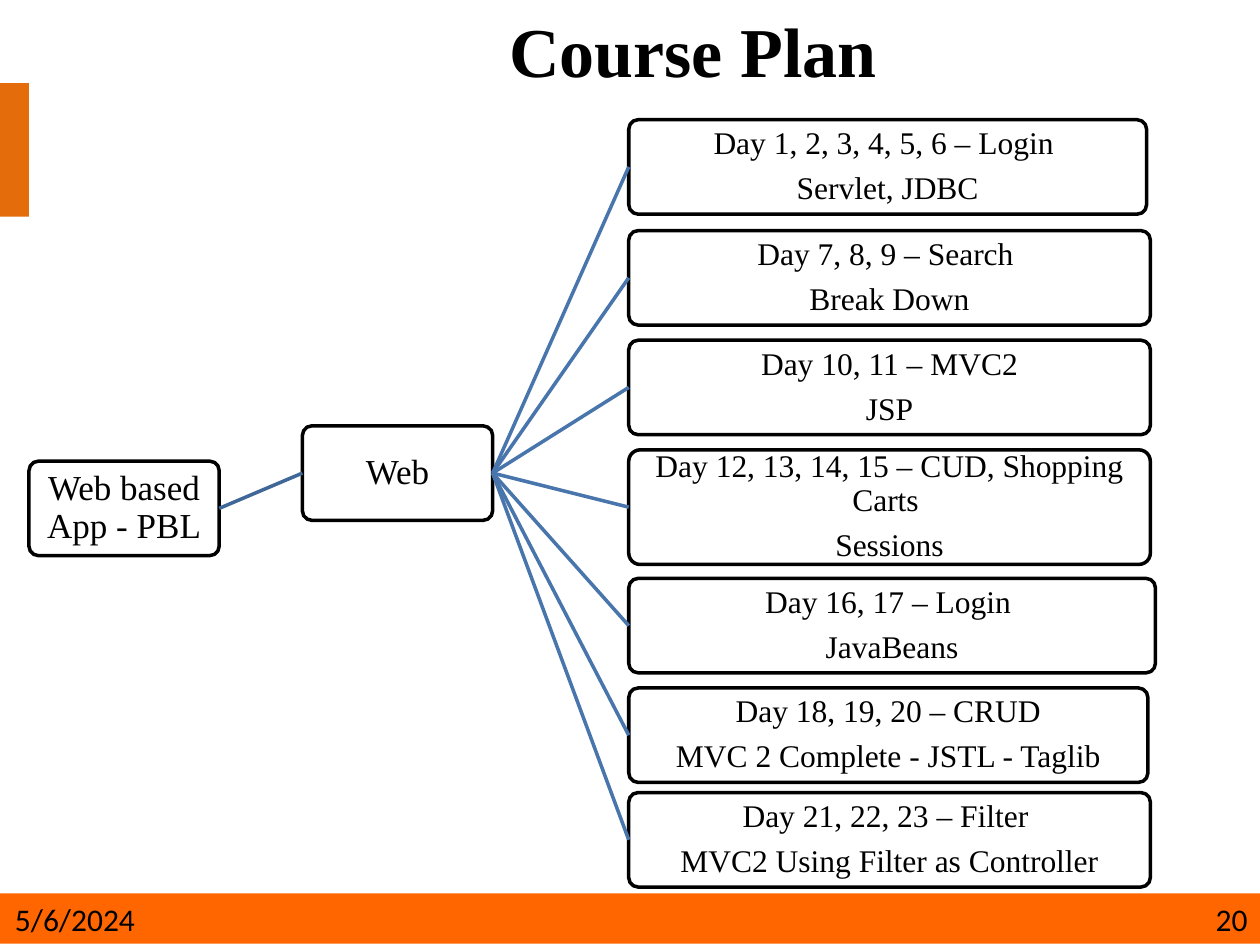
from pptx import Presentation
from pptx.dml.color import RGBColor
from pptx.enum.shapes import MSO_CONNECTOR as Link, MSO_SHAPE as Preset
from pptx.enum.text import MSO_ANCHOR as Anchor, PP_ALIGN as Align
from pptx.oxml.ns import qn
from pptx.util import Inches, Pt
from lxml.etree import SubElement

COLUMNS, ROWS = 1000, 750
SLIDE_WIDTH, SLIDE_HEIGHT = Inches(10), Inches(7.5)
COLORS = {"footer": "FF6600", "accent": "E46C0A", "ink": "000000",
          "paper": "FFFFFF", "trunk": "3F6797", "branch": "4875AC"}
SERIF, SANS = "Times New Roman", "Calibri"
NODE_WIDTH, NODE_HEIGHT, DAY_LEFT = 151, 75, 499
DAYS = [
    (95, 411, NODE_HEIGHT, ["Day 1, 2, 3, 4, 5, 6 – Login ", "Servlet, JDBC"]),
    (183, 414, NODE_HEIGHT, ["Day 7, 8, 9 – Search ", "Break Down"]),
    (270, 414, NODE_HEIGHT, ["Day 10, 11 – MVC2", "JSP"]),
    (357, 414, 91, ["Day 12, 13, 14, 15 – CUD, Shopping Carts ", "Sessions"]),
    (459, 418, NODE_HEIGHT, ["Day 16, 17 – Login ", "JavaBeans"]),
    (546, 412, NODE_HEIGHT, ["Day 18, 19, 20 – CRUD", "MVC 2 Complete - JSTL - Taglib"]),
    (629, 414, NODE_HEIGHT, ["Day 21, 22, 23 – Filter ", "MVC2 Using Filter as Controller"]),
]


def color(name):
    """Return the named palette colour."""
    return RGBColor.from_string(COLORS[name])


def place(box):
    """Turn a box in grid columns and rows into slide lengths."""
    left, top, width, height = box
    return (SLIDE_WIDTH * left // COLUMNS, SLIDE_HEIGHT * top // ROWS,
            SLIDE_WIDTH * width // COLUMNS, SLIDE_HEIGHT * height // ROWS)


def write(frame, lines, size, font=SERIF, align=Align.CENTER, bold=False):
    """Write one paragraph per line and return the paragraphs."""
    frame.word_wrap = True
    paragraphs = [frame.paragraphs[0]] + [frame.add_paragraph() for _ in lines[1:]]
    for paragraph, line in zip(paragraphs, lines):
        paragraph.alignment = align
        run = paragraph.add_run()
        run.text = line
        run.font.size, run.font.name, run.font.bold = Pt(size), font, bold
        run.font.color.rgb = color("ink")
    return paragraphs


def add_label(slide, box, text, size, anchor=Anchor.TOP, **style):
    """Add a line of free text in the box."""
    frame = slide.shapes.add_textbox(*place(box)).text_frame
    frame.vertical_anchor = anchor
    write(frame, [text], size, **style)


def add_panel(slide, box, fill, preset=Preset.RECTANGLE):
    """Add a flat filled shape without an outline."""
    panel = slide.shapes.add_shape(preset, *place(box))
    panel.shadow.inherit = False
    panel.fill.solid()
    panel.fill.fore_color.rgb = color(fill)
    panel.line.fill.background()
    return panel


def add_node(slide, box, lines, size):
    """Add an outlined rounded node with centred text."""
    node = add_panel(slide, box, "paper", Preset.ROUNDED_RECTANGLE)
    node.adjustments[0] = 0.1
    node.line.color.rgb = color("ink")
    node.line.width = Pt(2)
    frame = node.text_frame
    frame.vertical_anchor = Anchor.MIDDLE
    frame.margin_left = frame.margin_right = Inches(0.03)
    frame.margin_top = frame.margin_bottom = Inches(0.03)
    for paragraph in write(frame, lines, size):
        paragraph.line_spacing = 0.9
        paragraph.space_after = Pt(size * 0.35)
    return node


def connect(slide, parent, child, tone):
    """Join the right side of the parent to the left side of the child."""
    link = slide.shapes.add_connector(Link.STRAIGHT, 0, 0, 0, 0)
    link.begin_connect(parent, 3)
    link.end_connect(child, 1)
    link.line.color.rgb = color(tone)
    link.line.width = Pt(2)
    SubElement(link._element.spPr, qn("a:effectLst"))


def add_plan_tree(slide, box):
    """Grow the course tree from its root at the left of the box."""
    left, top, _, _ = box
    root = add_node(slide, (left, top + 271, NODE_WIDTH, NODE_HEIGHT),
                    ["Web based App - PBL"], 20)
    web = add_node(slide, (left + 217, top + 243, NODE_WIDTH, NODE_HEIGHT), ["Web"], 20)
    connect(slide, root, web, "trunk")
    for day_top, width, height, lines in DAYS:
        day = add_node(slide, (DAY_LEFT, day_top, width, height), lines, 18)
        connect(slide, web, day, "branch")


def add_footer(slide, box):
    """Add the footer band with its date and page number."""
    left, top, width, height = box
    add_panel(slide, box, "footer")
    add_label(slide, (left + 2, top, 152, height), "5/6/2024", 18,
              font=SANS, align=Align.LEFT)
    add_label(slide, (left + width - 300, top, 300, height), "20", 18,
              font=SANS, align=Align.RIGHT)


def main():
    """Build the course plan slide and save it."""
    deck = Presentation()
    deck.slide_width, deck.slide_height = SLIDE_WIDTH, SLIDE_HEIGHT
    slide = deck.slides.add_slide(deck.slide_layouts[6])
    add_footer(slide, (0, 709, COLUMNS, 40))
    add_panel(slide, (0, 66, 23, 106), "accent")
    add_label(slide, (100, 0, 900, 79), "Course Plan", 40, Anchor.MIDDLE, bold=True)
    add_plan_tree(slide, (23, 95, 894, 609))
    deck.save("out.pptx")


if __name__ == "__main__":
    main()
